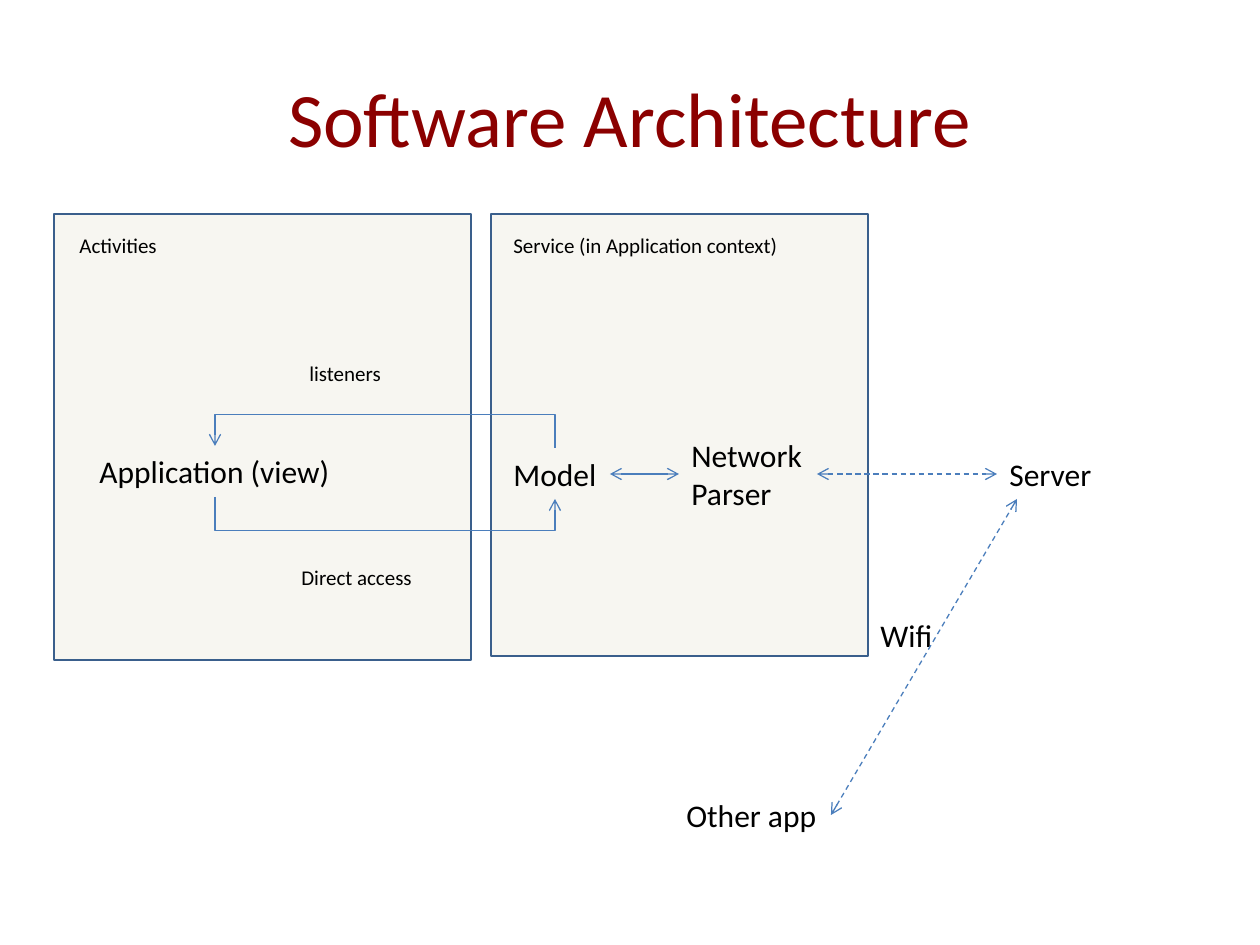
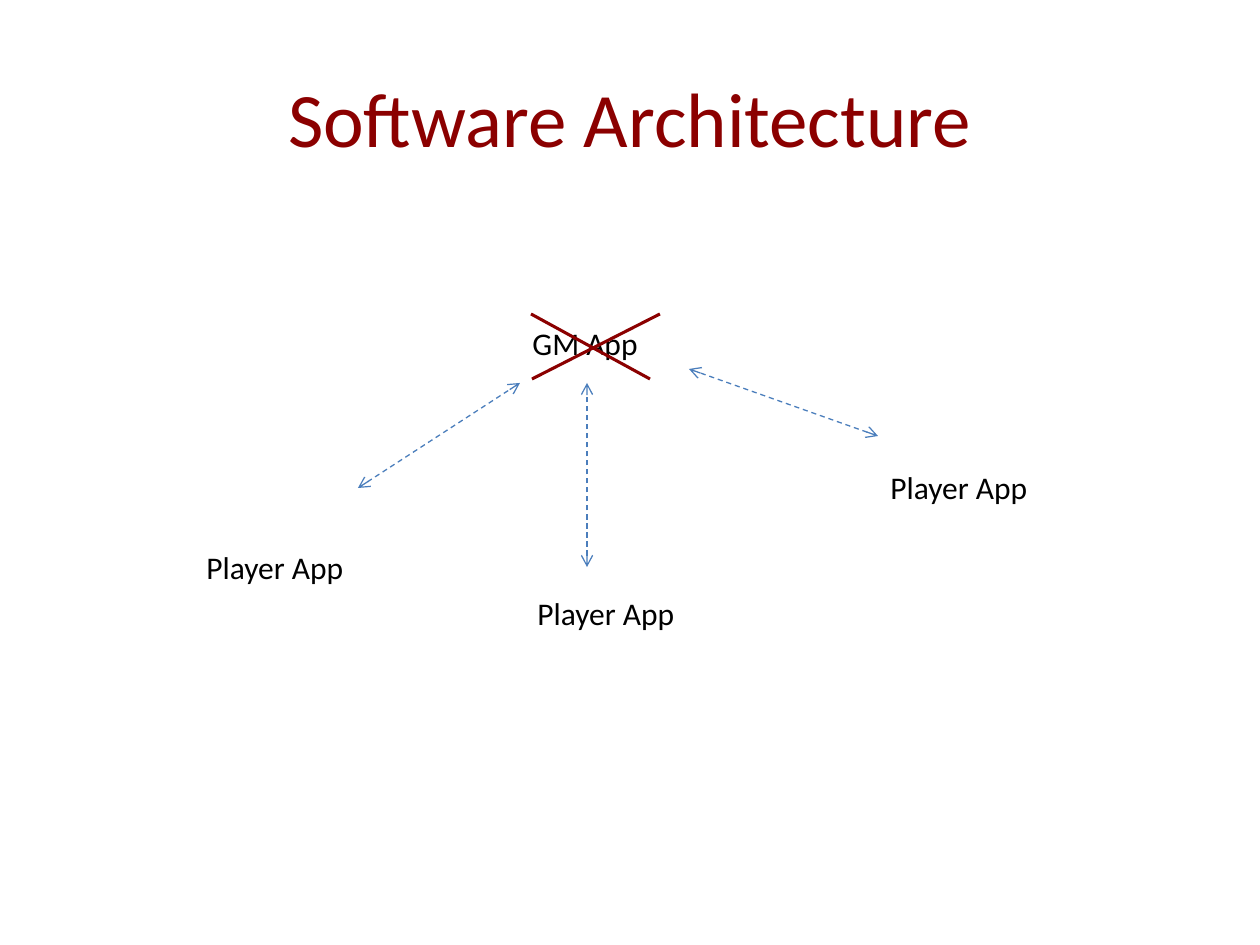
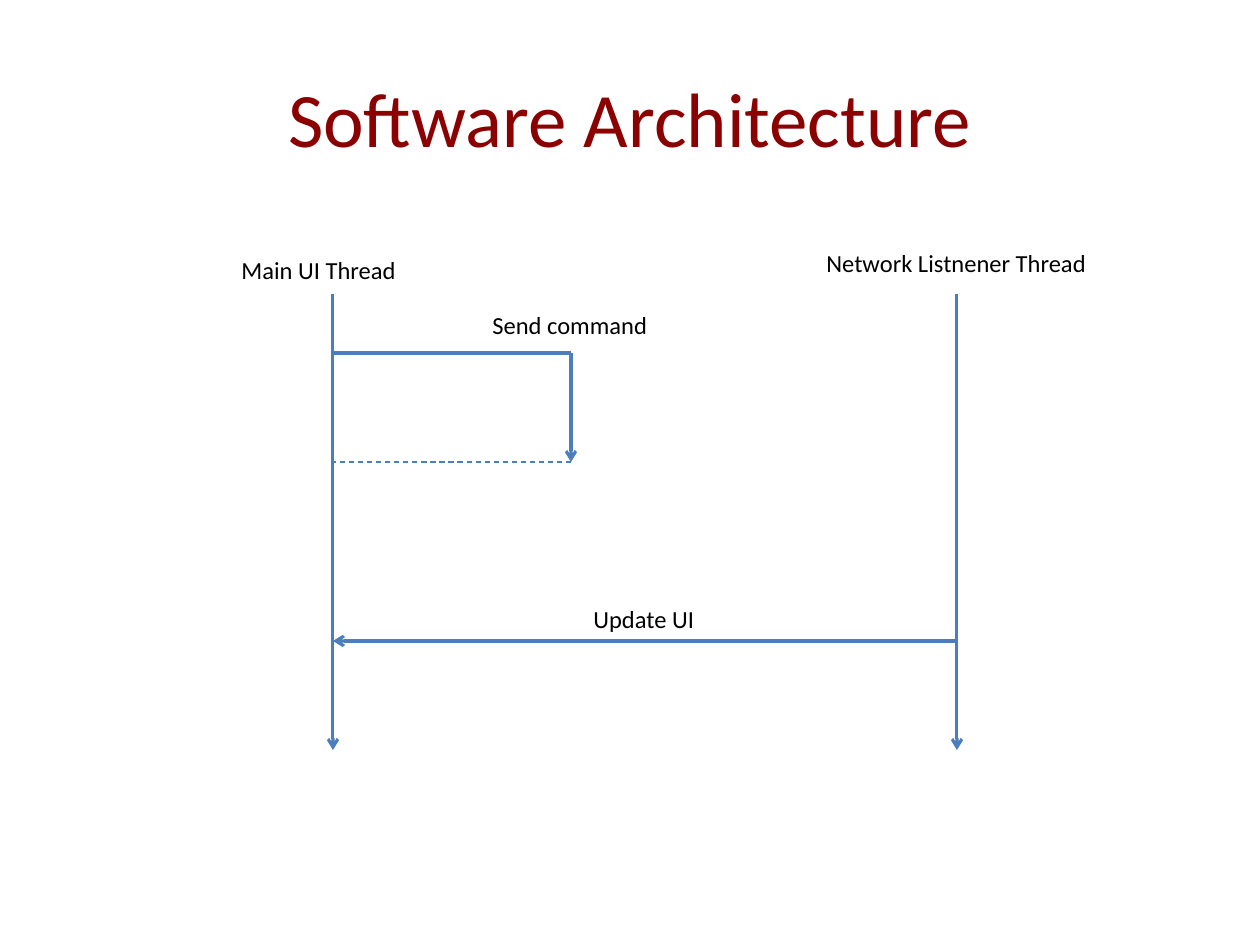
from lxml.etree import SubElement
from pptx import Presentation
from pptx.dml.color import RGBColor
from pptx.enum.dml import MSO_LINE
from pptx.enum.shapes import MSO_CONNECTOR as Link, MSO_SHAPE as Shape
from pptx.enum.text import MSO_ANCHOR as Anchor, PP_ALIGN as Align
from pptx.oxml.ns import qn
from pptx.util import Pt

EMU_PER_PX = 914400 / 126
PAGE_SIZE = (1260, 945)
FONT = "Calibri"
DARK_RED = RGBColor(0x8B, 0x00, 0x00)
BLACK = RGBColor(0x00, 0x00, 0x00)
BLUE = RGBColor(0x4B, 0x7E, 0xBC)
PANEL_FILL = RGBColor(0xEE, 0xEC, 0xE1)
PANEL_EDGE = RGBColor(0x3A, 0x5F, 0x8C)
PANEL_OPACITY = 44000

TITLE = "Software Architecture"
TITLE_AREA = (63, 38, 1134, 158)

# Line styles: colour, width, dash, and which ends carry an arrow
LINE_STYLES = {
    "one way": {"color": BLUE, "width": 0.75, "ends": ["tailEnd"]},
    "two way": {"color": BLUE, "width": 0.75, "ends": ["headEnd", "tailEnd"]},
    "remote": {"color": BLUE, "width": 0.75, "dash": True, "ends": ["headEnd", "tailEnd"]},
    "return": {"color": BLUE, "width": 0.75, "dash": True},
    "thread": {"color": BLUE, "width": 1.75, "ends": ["tailEnd"]},
    "call": {"color": BLUE, "width": 1.75},
    "cross": {"color": DARK_RED, "width": 1.75},
}

# Sequence diagram axes
MAIN_X, CALL_X, NETWORK_X = 333, 571, 957
START_Y, SEND_Y, RETURN_Y, UPDATE_Y, END_Y = 294, 353, 462, 641, 750

# Labels: text, left, top, width, size. Lines: style, x1, y1, x2, y2.
# Loops: x1, y1, x2, y2, height of the middle segment.
SLIDES = [
    {
        "panels": [(491, 214, 377, 442), (54, 214, 417, 446)],
        "labels": [
            ("Model", 501, 449, 110, 18),
            ("Network\nParser", 679, 430, 137, 18),
            ("Server", 997, 449, 108, 18),
            ("Application (view)", 87, 446, 258, 18),
            ("Other app", 674, 790, 158, 18),
            ("Wifi", 868, 610, 78, 18),
            ("Direct access", 289, 558, 137, 12),
            ("listeners", 297, 354, 98, 12),
            ("Service (in Application context)", 501, 226, 292, 12),
            ("Activities", 67, 226, 105, 12),
        ],
        "loops": [(215, 497, 555, 499, 531), (555, 448, 215, 446, 414)],
        "lines": [
            ("two way", 610, 474, 679, 474),
            ("remote", 817, 474, 997, 474),
            ("remote", 831, 815, 1017, 499),
        ],
    },
    {
        "labels": [
            ("GM App", 520, 318, 132, 18),
            ("Player App", 194, 542, 164, 18),
            ("Player App", 525, 588, 164, 18),
            ("Player App", 878, 462, 164, 18),
        ],
        "lines": [
            ("remote", 358, 488, 520, 383),
            ("remote", 587, 567, 587, 383),
            ("remote", 878, 436, 689, 369),
            ("cross", 660, 314, 532, 379),
            ("cross", 531, 314, 650, 379),
        ],
    },
    {
        "labels": [
            ("Main UI Thread", 229, 249, 181, 14),
            ("Send command", 480, 304, 181, 14),
            ("Network Listnener Thread", 814, 242, 287, 14),
            ("Update UI", 581, 598, 127, 14),
        ],
        "lines": [
            ("thread", MAIN_X, START_Y, MAIN_X, END_Y),
            ("thread", NETWORK_X, START_Y, NETWORK_X, END_Y),
            ("call", MAIN_X, SEND_Y, CALL_X, SEND_Y),
            ("thread", CALL_X, SEND_Y, CALL_X, RETURN_Y),
            ("return", CALL_X, RETURN_Y, MAIN_X, RETURN_Y),
            ("thread", NETWORK_X, UPDATE_Y, MAIN_X, UPDATE_Y),
        ],
    },
]


def px(*lengths):
    return [round(length * EMU_PER_PX) for length in lengths]


def add_text(page, text, area, size, color=BLACK, wrap=False, **layout):
    frame = page.shapes.add_textbox(*px(*area)).text_frame
    frame.word_wrap = wrap
    frame.vertical_anchor = layout.get("anchor", Anchor.TOP)
    frame.text = text
    for para in frame.paragraphs:
        para.alignment = layout.get("align", Align.LEFT)
        for span in para.runs:
            span.font.color.rgb = color
            for name, value in {"name": FONT, "size": Pt(size)}.items():
                setattr(span.font, name, value)


def add_label(page, text, left, top, width, size):
    line_count = text.count("\n") + 1
    height = round(size * 2.1 * line_count + 12.6)
    add_text(page, text, (left, top, width, height), size)


def add_panel(page, area):
    panel = page.shapes.add_shape(Shape.RECTANGLE, *px(*area))
    panel.shadow.inherit = False
    panel.fill.solid()
    panel.fill.fore_color.rgb = PANEL_FILL
    color = panel._element.spPr.find(".//" + qn("a:srgbClr"))
    SubElement(color, qn("a:alpha"), val=str(PANEL_OPACITY))
    panel.line.color.rgb = PANEL_EDGE
    panel.line.width = Pt(1)


def add_line(page, style, x1, y1, x2, y2, kind=Link.STRAIGHT):
    look = LINE_STYLES[style]
    connector = page.shapes.add_connector(kind, *px(x1, y1, x2, y2))
    connector.line.color.rgb = look["color"]
    connector.line.width = Pt(look["width"])
    if look.get("dash"):
        connector.line.dash_style = MSO_LINE.DASH
    properties = connector._element.spPr
    for end in look.get("ends", []):
        SubElement(properties.find(qn("a:ln")), qn("a:" + end), type="arrow")
    SubElement(properties, qn("a:effectLst"))
    return connector


def add_loop(page, x1, y1, x2, y2, bend_y):
    """Elbow turned a quarter, so that it leaves and arrives vertically."""
    mid_x, mid_y = (x1 + x2) / 2, (y1 + y2) / 2
    half_rise, half_run = abs(y2 - y1) / 2, abs(x2 - x1) / 2
    connector = add_line(page, "one way", mid_x - half_rise, mid_y - half_run,
                         mid_x + half_rise, mid_y + half_run, Link.ELBOW)
    properties = connector._element.spPr
    frame = properties.find(qn("a:xfrm"))
    frame.set("rot", str(270 * 60000))
    frame.set("flipH" if x1 < x2 else "flipV", "1")
    bend = round((bend_y - y1) / (y2 - y1) * 100000)
    SubElement(properties.find(".//" + qn("a:avLst")), qn("a:gd"),
               name="adj1", fmla=f"val {bend}")


def main():
    deck = Presentation()
    deck.slide_width, deck.slide_height = px(*PAGE_SIZE)
    for content in SLIDES:
        page = deck.slides.add_slide(deck.slide_layouts[6])
        for area in content.get("panels", []):
            add_panel(page, area)
        add_text(page, TITLE, TITLE_AREA, 44, DARK_RED, wrap=True,
                 anchor=Anchor.MIDDLE, align=Align.CENTER)
        for label in content["labels"]:
            add_label(page, *label)
        for loop in content.get("loops", []):
            add_loop(page, *loop)
        for line in content["lines"]:
            add_line(page, *line)
    deck.save("out.pptx")


if __name__ == "__main__":
    main()
